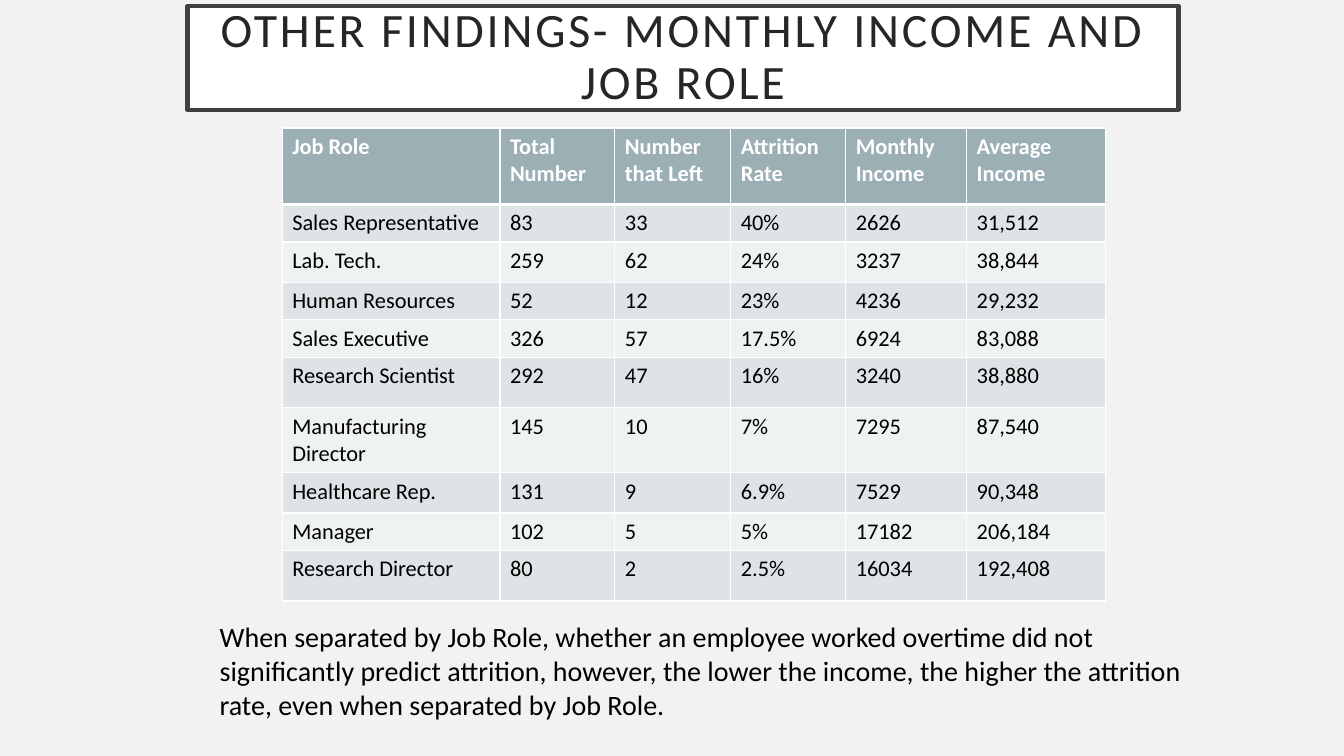
import pptx
import pptx.dml.color
import pptx.enum.text
import pptx.oxml
import pptx.oxml.ns
import pptx.util

COLORS = {
    "background": "F2F2F2", "white": "FFFFFF", "frame": "404040",
    "title": "262626", "text": "000000", "header": "9BAFB5",
    "odd_row": "DEE3E5", "even_row": "EFF2F3",
}
FONT = "Calibri"

# left, top, width, height in percent of the slide
TITLE_BOX = (13.95, 0.8, 73.74, 13.73)
TABLE_BOX = (21, 16.93, 61.28, 62.4)
NOTE_BOX = (15.6, 81.33, 73.74, 14.8)

COLUMN_WEIGHTS = (2.16, 1.14, 1.15, 1.14, 1.2, 1.38)
ROW_WEIGHTS = (0.76, 0.37, 0.4, 0.37, 0.37, 0.5, 0.64, 0.4, 0.37, 0.5)

TITLE = "OTHER FINDINGS- MONTHLY INCOME AND JOB ROLE"
NOTE = (
    "When separated by Job Role, whether an employee worked overtime did not "
    "significantly predict attrition, however, the lower the income, the higher "
    "the attrition rate, even when separated by Job Role."
)
ROLES = (
    ("Job Role", "Total Number", "Number that Left", "Attrition Rate",
     "Monthly Income", "Average Income"),
    ("Sales Representative", "83", "33", "40%", "2626", "31,512"),
    ("Lab. Tech.", "259", "62", "24%", "3237", "38,844"),
    ("Human Resources", "52", "12", "23%", "4236", "29,232"),
    ("Sales Executive", "326", "57", "17.5%", "6924", "83,088"),
    ("Research Scientist", "292", "47", "16%", "3240", "38,880"),
    ("Manufacturing Director", "145", "10", "7%", "7295", "87,540"),
    ("Healthcare Rep.", "131", "9", "6.9%", "7529", "90,348"),
    ("Manager", "102", "5", "5%", "17182", "206,184"),
    ("Research Director", "80", "2", "2.5%", "16034", "192,408"),
)


def rgb(name):
    return pptx.dml.color.RGBColor.from_string(COLORS[name])


def set_attributes(target, values):
    for name, value in values.items():
        setattr(target, name, value)


def paint(fill, color):
    fill.solid()
    fill.fore_color.rgb = rgb(color)


def write(text_frame, text, size, color, bold=False):
    """Put one formatted run in the frame and return its paragraph and run."""
    paragraph = text_frame.paragraphs[0]
    run = paragraph.add_run()
    run.text = text
    set_attributes(run.font, {"name": FONT, "size": pptx.util.Pt(size), "bold": bold})
    run.font.color.rgb = rgb(color)
    return paragraph, run


def share_box(presentation, shares):
    """Turn percentages of the slide into left, top, width and height."""
    sides = (presentation.slide_width, presentation.slide_height) * 2
    return [int(side * share / 100) for side, share in zip(sides, shares)]


def split(length, weights):
    return [int(length * weight / sum(weights)) for weight in weights]


def add_title(slide, box):
    title = slide.shapes.title
    set_attributes(title, dict(zip(("left", "top", "width", "height"), box)))
    paint(title.fill, "white")
    title.line.color.rgb = rgb("frame")
    title.line.width = pptx.util.Pt(3)
    side, edge = pptx.util.Inches(0.3), pptx.util.Inches(0.2)
    set_attributes(title.text_frame, {
        "margin_left": side, "margin_right": side,
        "margin_top": edge, "margin_bottom": edge,
        "word_wrap": True,
        "auto_size": pptx.enum.text.MSO_AUTO_SIZE.NONE,
        "vertical_anchor": pptx.enum.text.MSO_ANCHOR.MIDDLE,
    })
    paragraph, run = write(title.text_frame, TITLE, 34.2, "title")
    set_attributes(paragraph, {
        "alignment": pptx.enum.text.PP_ALIGN.CENTER, "line_spacing": 0.9,
    })
    run.font._element.set("spc", "200")


def add_borders(cell, top, bottom):
    """Draw white cell edges; top and bottom are widths in points."""
    properties = cell._tc.get_or_add_tcPr()
    for edge, width in (("L", 1), ("R", 1), ("T", top), ("B", bottom)):
        properties.append(pptx.oxml.parse_xml(
            f'<a:ln{edge} {pptx.oxml.ns.nsdecls("a")} w="{pptx.util.Pt(width)}">'
            f'<a:solidFill><a:srgbClr val="{COLORS["white"]}"/></a:solidFill>'
            f'</a:ln{edge}>'
        ))


def add_role_table(slide, box):
    table = slide.shapes.add_table(len(ROLES), len(ROLES[0]), *box).table
    for column, width in zip(table.columns, split(box[2], COLUMN_WEIGHTS)):
        column.width = width
    for row, height in zip(table.rows, split(box[3], ROW_WEIGHTS)):
        row.height = height
    for row_index, values in enumerate(ROLES):
        is_header = row_index == 0
        band = "header" if is_header else ("even_row", "odd_row")[row_index % 2]
        for column_index, value in enumerate(values):
            cell = table.cell(row_index, column_index)
            add_borders(cell, 3 if row_index == 1 else 1, 3 if is_header else 1)
            paint(cell.fill, band)
            write(cell.text_frame, value, 16, "white" if is_header else "text", is_header)


def add_note(slide, box):
    text_frame = slide.shapes.add_textbox(*box).text_frame
    text_frame.word_wrap = True
    write(text_frame, NOTE, 20, "text")


def main():
    presentation = pptx.Presentation()
    set_attributes(presentation, {
        "slide_width": pptx.util.Inches(13.33), "slide_height": pptx.util.Inches(7.5),
    })
    slide = presentation.slides.add_slide(presentation.slide_layouts.get_by_name("Title Only"))
    paint(slide.background.fill, "background")
    add_title(slide, share_box(presentation, TITLE_BOX))
    add_role_table(slide, share_box(presentation, TABLE_BOX))
    add_note(slide, share_box(presentation, NOTE_BOX))
    presentation.save("out.pptx")


if __name__ == "__main__":
    main()
